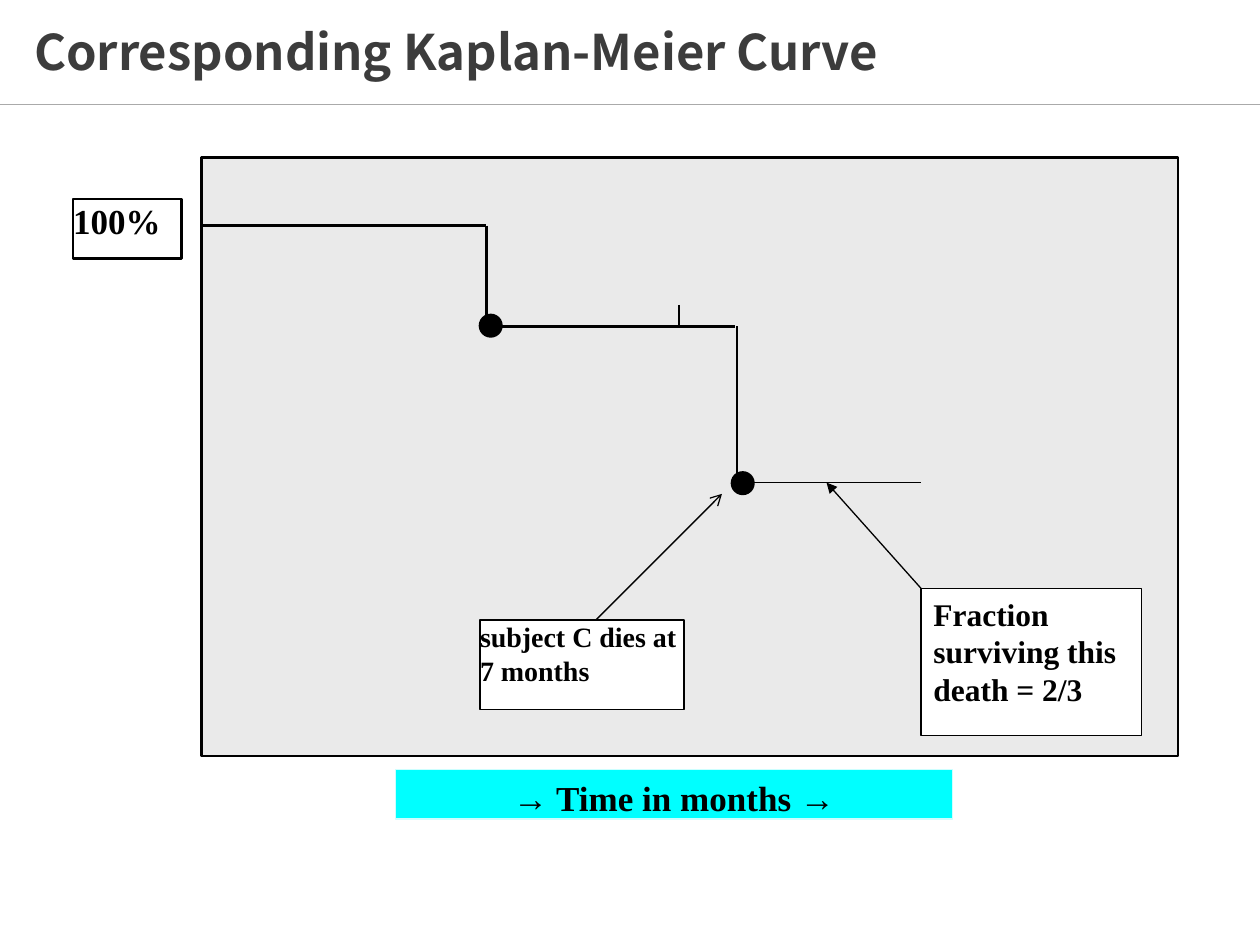
from pptx import Presentation
from pptx.dml.color import RGBColor
from pptx.enum.shapes import MSO_CONNECTOR as Link, MSO_SHAPE as Form
from pptx.enum.text import MSO_ANCHOR as Anchor, PP_ALIGN as Align
from pptx.oxml.ns import qn
from pptx.util import Inches, Pt
from lxml.etree import SubElement

PAD = (0.1, 0.05, 0.1, 0.05)
FLUSH = (0, 0, 0, 0)
THIN, THICK = 0.75, 1.5


def color(code):
    return RGBColor.from_string(code)


def write(frame, text, size=20, font="Times New Roman", ink="000000",
          align=Align.LEFT, anchor=Anchor.TOP, pad=PAD, space=None):
    frame.word_wrap = True
    frame.vertical_anchor = anchor
    (frame.margin_left, frame.margin_top,
     frame.margin_right, frame.margin_bottom) = map(Inches, pad)
    para = frame.paragraphs[0]
    para.alignment = align
    para.line_spacing = space
    run = para.add_run()
    run.text = text
    run.font.size = Pt(size)
    run.font.name = font
    run.font.bold = True
    run.font.color.rgb = color(ink)


class Page:
    black = "000000"
    sans = "Noto Sans CJK SC"

    def __init__(self, deck):
        self.slide = deck.slides.add_slide(deck.slide_layouts[5])
        self.shapes = self.slide.shapes

    def title(self, text, x, y, w, h):
        head = self.shapes.title
        head.left, head.top, head.width, head.height = map(Inches, (x, y, w, h))
        write(head.text_frame, text, size=28, font=self.sans, ink="3C3C3C",
              anchor=Anchor.MIDDLE, space=0.9)

    def box(self, x, y, w, h, fill="FFFFFF", line=black, width=THICK,
            form=Form.RECTANGLE, text=None, **style):
        shape = self.shapes.add_shape(form, *map(Inches, (x, y, w, h)))
        shape.shadow.inherit = False
        shape.fill.solid()
        shape.fill.fore_color.rgb = color(fill)
        shape.line.color.rgb = color(line)
        shape.line.width = Pt(width)
        if text:
            write(shape.text_frame, text, **style)

    def dot(self, x, y, size=0.17):
        self.box(x, y, size, size, fill=self.black, form=Form.OVAL)

    def line(self, start, end, width=THICK, ink=black, arrow=None):
        link = self.shapes.add_connector(
            Link.STRAIGHT, *map(Inches, (*start, *end)))
        link.line.color.rgb = color(ink)
        link.line.width = Pt(width)
        props = link._element.spPr
        if arrow:
            SubElement(props.find(qn("a:ln")), qn("a:tailEnd"), type=arrow)
        SubElement(props, qn("a:effectLst"))


def main():
    deck = Presentation()
    deck.slide_width, deck.slide_height = Inches(10), Inches(7.5)
    page = Page(deck)

    # Heading and rule
    page.line((0, 0.83), (10, 0.83), THIN, "AAAAAA")
    page.title("Corresponding Kaplan-Meier Curve", 0.17, 0.16, 8.42, 0.55)

    # Plot area and axis labels
    page.box(1.6, 1.25, 7.75, 4.75, fill="EAEAEA")
    page.box(0.58, 1.58, 0.86, 0.47, text="100%", pad=FLUSH)
    page.box(3.14, 6.11, 4.42, 0.39, fill="00FFFF", line="CCFFFF", width=THIN,
             text="→ Time in months →", align=Align.CENTER,
             pad=(0.1, 0.05, 0.1, 0))

    # Survival steps, with a dot at each death
    page.line((1.6, 1.79), (3.86, 1.79))
    page.line((3.86, 1.79), (3.86, 2.5))
    page.line((3.88, 2.59), (5.83, 2.59))
    page.line((5.85, 2.59), (5.85, 3.8))
    page.line((5.98, 3.83), (7.31, 3.83), THIN)
    page.dot(3.81, 2.5)
    page.dot(5.81, 3.75)

    # Censoring tick
    page.line((5.39, 2.42), (5.39, 2.58), THIN)

    # Callouts
    page.box(3.81, 4.92, 1.62, 0.71, width=THIN, size=16, pad=FLUSH,
             text="subject C dies at 7 months")
    page.line((4.73, 4.92), (5.73, 3.92), THIN, arrow="arrow")
    page.box(7.31, 4.67, 1.75, 1.17, width=THIN, size=18,
             text="Fraction surviving this death = 2/3")
    page.line((7.31, 4.67), (6.56, 3.83), THIN, arrow="triangle")

    deck.save("out.pptx")


if __name__ == "__main__":
    main()
